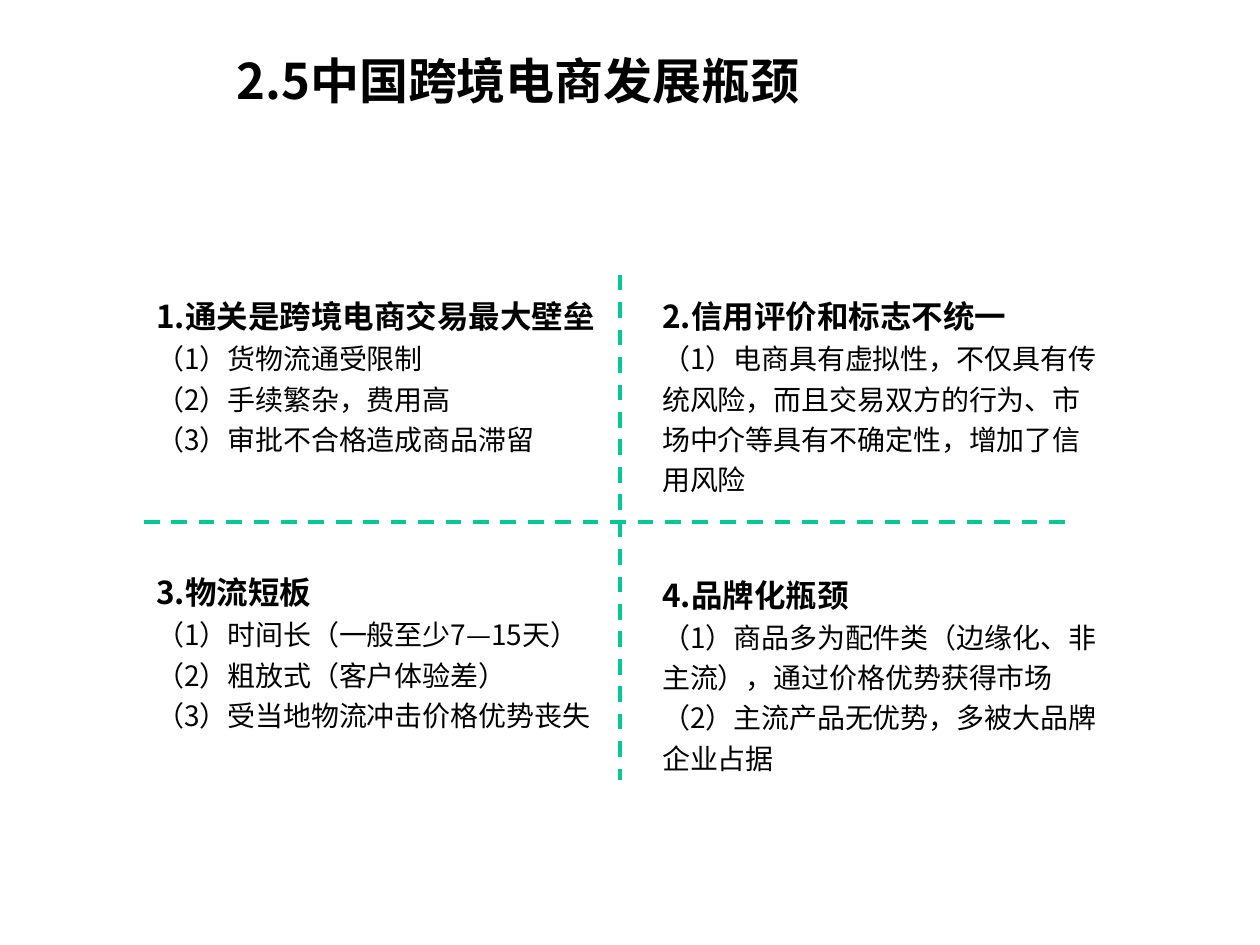
from lxml import etree
from pptx import Presentation
from pptx.dml.color import RGBColor
from pptx.enum.dml import MSO_LINE
from pptx.enum.shapes import MSO_CONNECTOR
from pptx.enum.text import MSO_ANCHOR, MSO_AUTO_SIZE
from pptx.oxml.ns import qn
from pptx.util import Cm, Pt

BLACK = RGBColor(0x00, 0x00, 0x00)
GREEN = RGBColor(0x00, 0xC8, 0x96)
FONT = "Noto Sans CJK SC"
STRAIGHT = MSO_CONNECTOR.STRAIGHT
DASH = MSO_LINE.DASH
MIDDLE = MSO_ANCHOR.MIDDLE
GROW = MSO_AUTO_SIZE.SHAPE_TO_FIT_TEXT

LEFT_COLUMN, RIGHT_COLUMN = 2.9, 13.1
COLUMN_WIDTH = 9.4

BOTTLENECKS = [
    (LEFT_COLUMN, 5.72, 3.63, [
        "1.通关是跨境电商交易最大壁垒",
        "（1）货物流通受限制",
        "（2）手续繁杂，费用高",
        "（3）审批不合格造成商品滞留",
    ]),
    (RIGHT_COLUMN, 5.72, 4.47, [
        "2.信用评价和标志不统一",
        "（1）电商具有虚拟性，不仅具有传统风险，而且交易双方的行为、市场中介等具有不确定性，增加了信用风险",
    ]),
    (LEFT_COLUMN, 11.28, 3.63, [
        "3.物流短板",
        "（1）时间长（一般至少7—15天）",
        "（2）粗放式（客户体验差）",
        "（3）受当地物流冲击价格优势丧失",
    ]),
    (RIGHT_COLUMN, 11.33, 4.47, [
        "4.品牌化瓶颈",
        "（1）商品多为配件类（边缘化、非主流），通过价格优势获得市场",
        "（2）主流产品无优势，多被大品牌企业占据",
    ]),
]
DIVIDERS = [(12.5, 5.54, 12.5, 15.72), (2.9, 10.52, 21.49, 10.52)]


def format_run(run, size, bold):
    run.font.size = Pt(size)
    run.font.bold = bold
    run.font.name = FONT
    run.font.color.rgb = BLACK
    east_asian = etree.SubElement(run.font._element, qn("a:ea"))
    east_asian.set("typeface", FONT)


prs = Presentation()
prs.slide_width = Cm(25.4)
prs.slide_height = Cm(19.05)
slide = prs.slides.add_slide(prs.slide_layouts[6])

title = slide.shapes.add_textbox(Cm(4.52), Cm(0.33), Cm(18.8), Cm(2.57)).text_frame
title.word_wrap = True
title.vertical_anchor = MIDDLE
title.text = "2.5中国跨境电商发展瓶颈"
format_run(title.paragraphs[0].runs[0], 28, True)

for x1, y1, x2, y2 in DIVIDERS:
    divider = slide.shapes.add_connector(STRAIGHT, Cm(x1), Cm(y1), Cm(x2), Cm(y2))
    divider.line.color.rgb = GREEN
    divider.line.width = Pt(2.25)
    divider.line.dash_style = DASH
    etree.SubElement(divider._element.spPr, qn("a:effectLst"))

for left, top, height, lines in BOTTLENECKS:
    bottleneck = slide.shapes.add_textbox(
        Cm(left), Cm(top), Cm(COLUMN_WIDTH), Cm(height)
    ).text_frame
    bottleneck.word_wrap = True
    bottleneck.auto_size = GROW
    bottleneck.text = "\n".join(lines)
    for index, paragraph in enumerate(bottleneck.paragraphs):
        paragraph.line_spacing = 1.2
        is_heading = index == 0
        format_run(paragraph.runs[0], 18 if is_heading else 16, is_heading)

prs.save("out.pptx")
